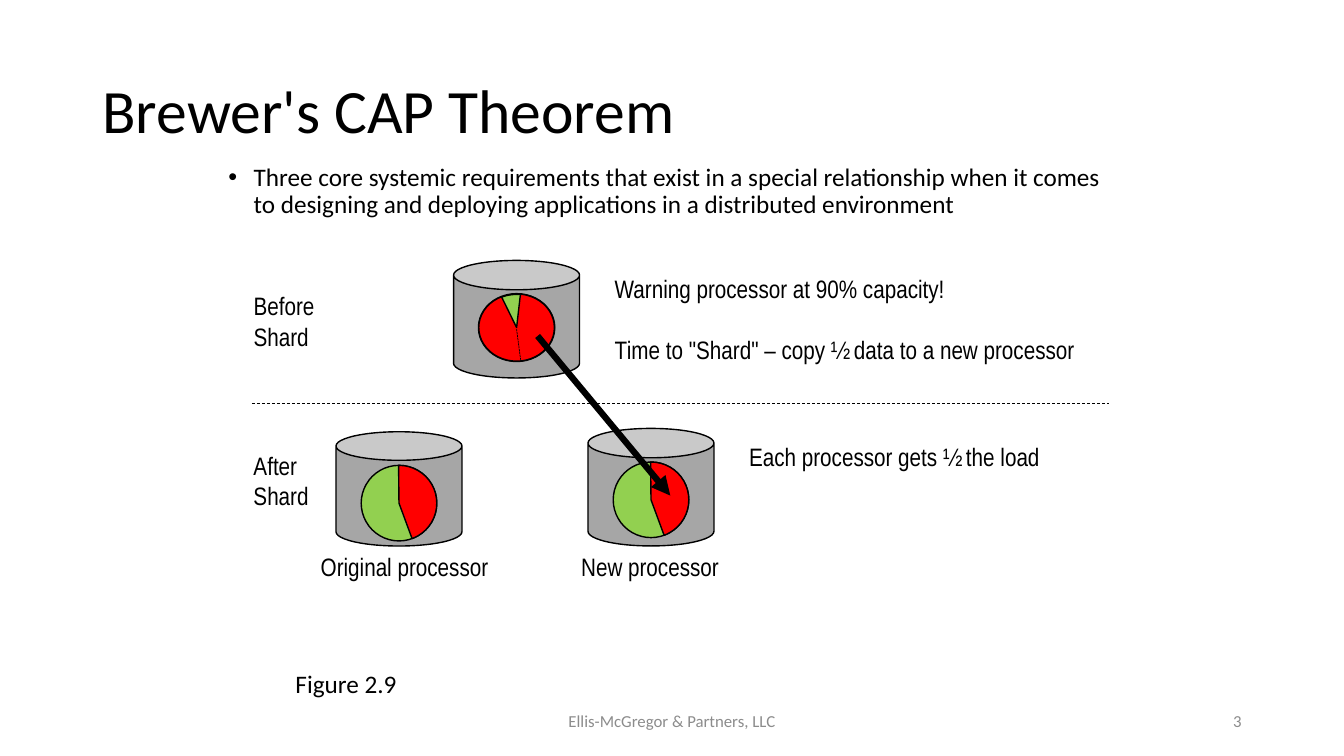
from dataclasses import dataclass

from lxml import etree
from pptx import Presentation, util as u
from pptx.dml.color import RGBColor
from pptx.enum import dml, shapes, text
from pptx.oxml import ns

# Content: every place is in grid units, the slide being 160 columns by 90 rows
COLUMNS, ROWS = 160, 90
TITLE = ("Brewer's CAP Theorem", (11, 4.8, 138, 17.4))
BODY = ("Three core systemic requirements that exist in a special relationship when it comes "
        "to designing and deploying applications in a distributed environment", (26, 19, 108, 6))
FOOTERS = [
    ("3", (113, 83.4, 36, 4.8), text.PP_ALIGN.RIGHT),
    ("Ellis-McGregor & Partners, LLC", (53, 83.4, 54, 4.8), text.PP_ALIGN.CENTER),
]
# left, top, height of the processor; height and outline of its gauge; load from/to in degrees
PROCESSORS = [
    (54, 31, 14, 8, 1.5, (276.59, 243.94)),
    (40, 51.4, 13.6, 9, 1, (269.41, 69.72)),
    (70, 51, 14, 9, 1, (269.41, 69.72)),
]
PROCESSOR_WIDTH, GAUGE_WIDTH, GAUGE_DROP = 15, 9, 4
# paragraphs, place, space between paragraphs in points
LABELS = [
    (["Warning processor at 90% capacity!",
      'Time to "Shard" – copy ½ data to a new processor'], (72, 32, 57.8, 12.1), 22),
    (["Before", "Shard"], (29, 34, 9.7, 8.5), 0),
    (["After", "Shard"], (29, 53, 9.1, 8.5), 0),
    (["Each processor gets ½ the load"], (88, 52, 37.4, 4.8), 0),
    (["Original processor"], (37, 65, 22.6, 4.8), 0),
    (["New processor"], (68, 65, 19, 4.8), 0),
]
CAPTION = (["Figure 2.9"], (34, 79, 14.6, 4.8), 0)
HALF_LOAD = ((61.5, 39.2), (62, 43))
COPY_ARROW = ((64, 40), (79.8, 59))
DIVIDER = ((30, 48), (132, 48))


@dataclass(frozen=True)
class Theme:
    ink: str = "000000"
    muted: str = "8C8C8C"
    processor: str = "A6A6A6"
    free: str = "92D050"
    load: str = "FF0000"
    main_font: str = "Calibri"
    label_font: str = "Arial Narrow"
    title_size: int = 44
    text_size: int = 18
    footer_size: int = 12


theme = Theme()
deck = Presentation()
deck.slide_width, deck.slide_height = u.Inches(13.33), u.Inches(7.5)
page = deck.slides.add_slide(deck.slide_layouts[1])


def across(columns):
    return round(deck.slide_width * columns / COLUMNS)


def down(rows):
    return round(deck.slide_height * rows / ROWS)


def emu(place):
    left, top, width, height = place
    return across(left), down(top), across(width), down(height)


def write(para, words, size, font=theme.main_font, color=theme.ink):
    span = para.add_run()
    span.text = words
    span.font.size, span.font.name = u.Pt(size), font
    span.font.color.rgb = RGBColor.from_string(color)


def fill_placeholder(holder, content, size, anchor):
    words, place = content
    holder.left, holder.top, holder.width, holder.height = emu(place)
    frame = holder.text_frame
    frame.auto_size, frame.vertical_anchor = text.MSO_AUTO_SIZE.NONE, anchor
    para = frame.paragraphs[0]
    para.alignment, para.line_spacing = text.PP_ALIGN.LEFT, 0.9
    write(para, words, size)
    return para


def add_label(label, font):
    lines, place, gap = label
    frame = page.shapes.add_textbox(*emu(place)).text_frame
    frame.word_wrap, frame.auto_size = False, text.MSO_AUTO_SIZE.SHAPE_TO_FIT_TEXT
    for index, line in enumerate(lines):
        para = frame.add_paragraph() if index else frame.paragraphs[0]
        if index:
            para.space_before = u.Pt(gap)
        write(para, line, theme.text_size, font)


def add_solid(preset, place, color, outline=1):
    shape = page.shapes.add_shape(preset, *emu(place))
    shape.shadow.inherit = False
    shape.fill.solid()
    shape.fill.fore_color.rgb = RGBColor.from_string(color)
    shape.line.color.rgb = RGBColor.from_string(theme.ink)
    shape.line.width = u.Pt(outline)
    return shape


def add_line(ends, width, dash=None, arrow=False):
    (x1, y1), (x2, y2) = ends
    link = page.shapes.add_connector(
        shapes.MSO_CONNECTOR.STRAIGHT, across(x1), down(y1), across(x2), down(y2))
    link.line.color.rgb = RGBColor.from_string(theme.ink)
    link.line.width = u.Pt(width)
    if dash:
        link.line.dash_style = dash
    if arrow:
        etree.SubElement(link.line._get_or_add_ln(), ns.qn("a:tailEnd"), type="triangle")
    etree.SubElement(link._element.spPr, ns.qn("a:effectLst"))


def add_processor(left, top, height, gauge_height, outline, angles):
    """Draw a processor with a gauge whose red sector is the load."""
    add_solid(shapes.MSO_SHAPE.CAN, (left, top, PROCESSOR_WIDTH, height), theme.processor)
    gauge = (left + (PROCESSOR_WIDTH - GAUGE_WIDTH) / 2, top + GAUGE_DROP,
             GAUGE_WIDTH, gauge_height)
    add_solid(shapes.MSO_SHAPE.OVAL, gauge, theme.free, outline)
    sector = add_solid(shapes.MSO_SHAPE.PIE, gauge, theme.load)
    for index, angle in enumerate(angles):
        sector.adjustments[index] = angle * 60000 / 100000


fill_placeholder(page.shapes.title, TITLE, theme.title_size, text.MSO_ANCHOR.MIDDLE)
bullet = fill_placeholder(page.placeholders[1], BODY, theme.text_size, text.MSO_ANCHOR.TOP)
bullet.space_before = u.Pt(10)
properties = bullet._p.get_or_add_pPr()
properties.set("marL", str(u.Inches(0.25)))
properties.set("indent", str(-u.Inches(0.25)))
etree.SubElement(properties, ns.qn("a:buFont"), typeface="Arial")
etree.SubElement(properties, ns.qn("a:buChar"), char="•")

for words, place, alignment in FOOTERS:
    frame = page.shapes.add_textbox(*emu(place)).text_frame
    frame.word_wrap, frame.vertical_anchor = True, text.MSO_ANCHOR.MIDDLE
    frame.paragraphs[0].alignment = alignment
    write(frame.paragraphs[0], words, theme.footer_size, color=theme.muted)

for processor in PROCESSORS:
    add_processor(*processor)
add_line(HALF_LOAD, 0.5, dml.MSO_LINE.SQUARE_DOT)
add_line(COPY_ARROW, 4.5, arrow=True)
add_line(DIVIDER, 0.5, dml.MSO_LINE.DASH)
for label in LABELS:
    add_label(label, theme.label_font)
add_label(CAPTION, theme.main_font)

deck.save("out.pptx")
